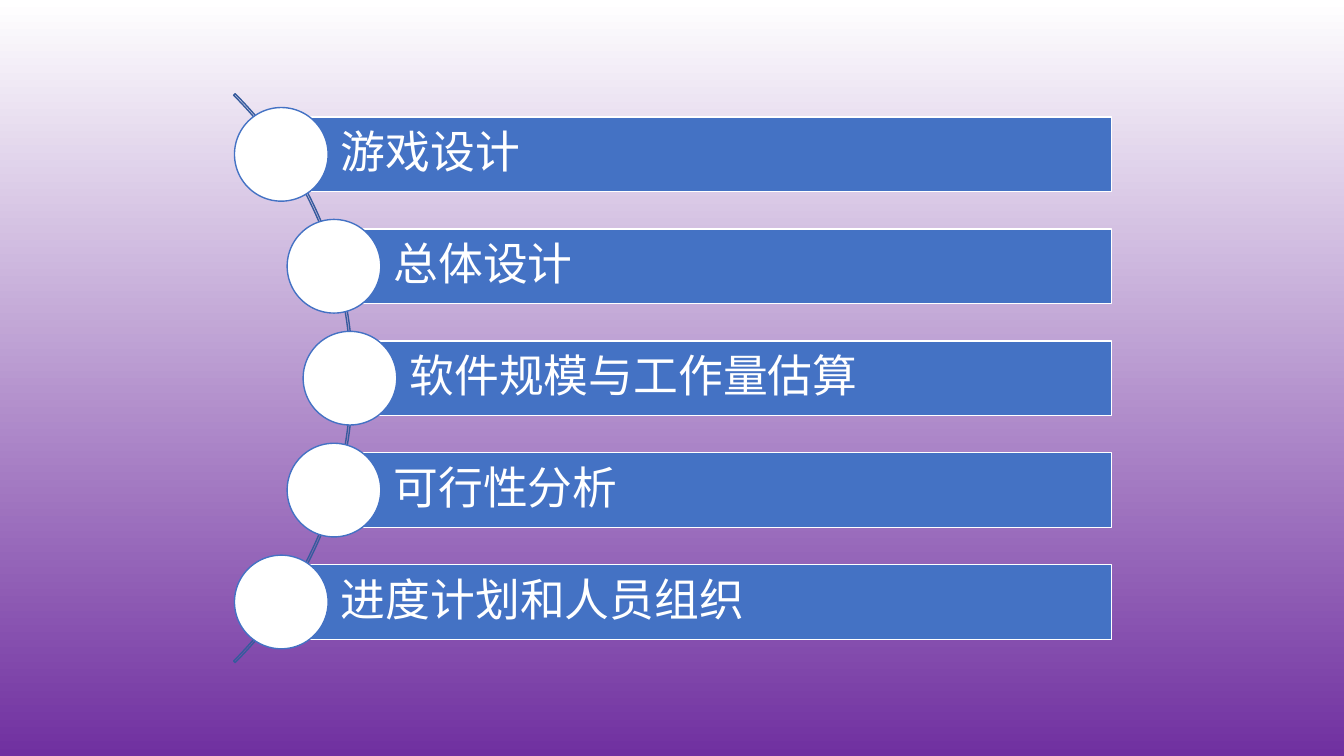
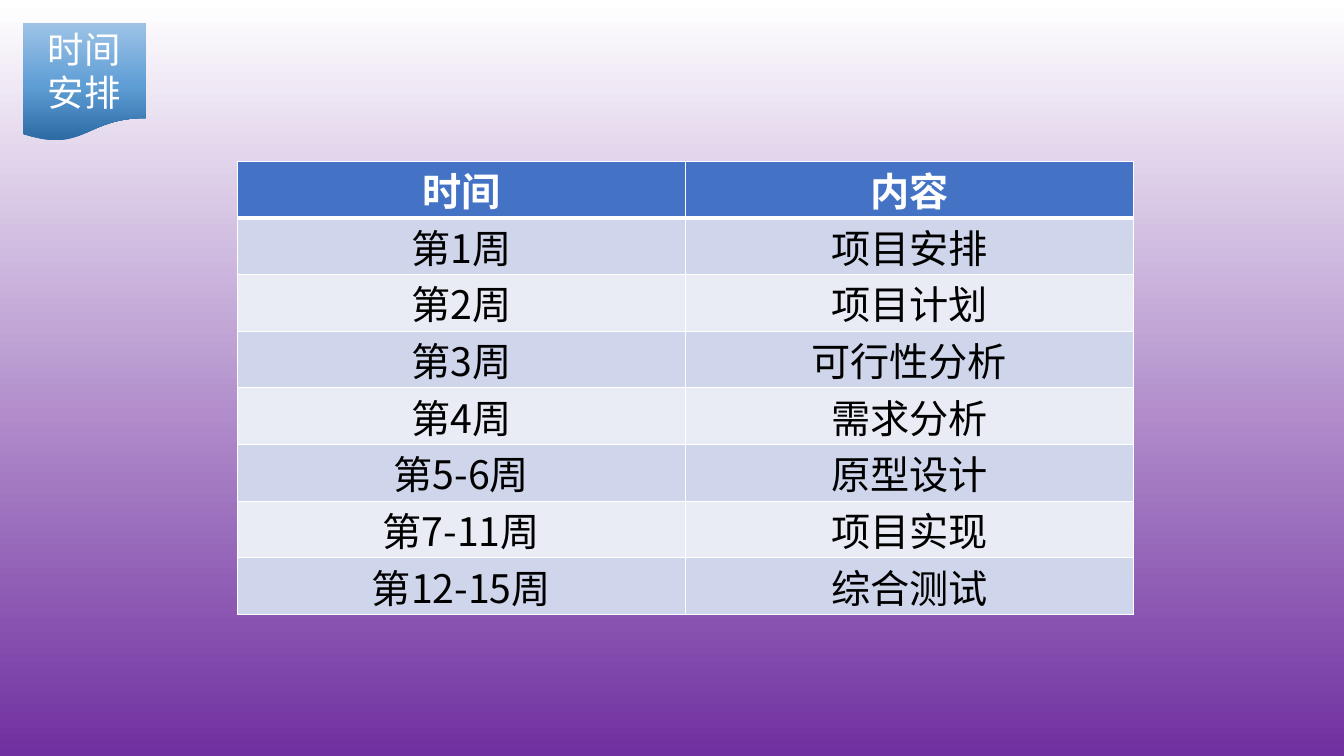
from copy import deepcopy
from math import sqrt

from lxml.etree import SubElement
from pptx import Presentation
from pptx.dml.color import RGBColor
from pptx.enum.shapes import MSO_SHAPE
from pptx.enum.text import MSO_ANCHOR, PP_ALIGN
from pptx.oxml.ns import qn
from pptx.util import Cm, Pt

COLORS = {
    "white": "FFFFFF", "black": "000000", "purple": "7030A0",
    "blue": "4472C4", "arc": "365B9D",
    "band_dark": "CFD5EA", "band_light": "E9EBF5",
    "tag_dark": "2A69A2", "tag_mid": "609ED6", "tag_light": "9DC3E6",
}
RGB = {name: RGBColor.from_string(value) for name, value in COLORS.items()}
FONT = "Noto Sans CJK SC"


def set_gradient(fill, element, stops, angle):
    """Fill with (position, colour) stops; the angle runs counter-clockwise."""
    fill.gradient()
    fill.gradient_angle = angle
    gs_list = element.find(".//" + qn("a:gsLst"))
    while len(gs_list) < len(stops):
        gs_list.append(deepcopy(gs_list[0]))
    for stop, (position, color) in zip(fill.gradient_stops, stops):
        stop.position = position
        stop.color.rgb = RGB[color]


def write(tf, text, color, align, **font_format):
    p = tf.paragraphs[0]
    p.alignment = align
    r = p.add_run()
    r.text = text
    r.font.color.rgb = RGB[color]
    for name, value in {"name": FONT, **font_format}.items():
        setattr(r.font, name, value)
    SubElement(r._r.get_or_add_rPr(), qn("a:ea"), typeface=FONT)
    return p


prs = Presentation()
prs.slide_width, prs.slide_height = Cm(33.87), Cm(19.05)
blank = prs.slide_layouts[6]

# Shared background
master = prs.slide_master
set_gradient(master.background.fill, master._element,
             [(0, "white"), (1, "purple")], 270)

# Slide 1: agenda along an arc
s = prs.slides.add_slide(blank)
topics = ["游戏设计", "总体设计", "软件规模与工作量估算", "可行性分析", "进度计划和人员组织"]
center_x, center_y = -1.24, 9.53
arc_size, path_radius = 20.27, 10.06
step, bar_right, bar_height, circle_size = 2.82, 28.01, 1.88, 2.36

sp = s.shapes.add_shape(MSO_SHAPE.BLOCK_ARC, Cm(center_x - arc_size / 2),
                        Cm(center_y - arc_size / 2), Cm(arc_size), Cm(arc_size))
for i, value in enumerate([189, 27, 0.0027]):
    sp.adjustments[i] = value
sp.shadow.inherit = False
sp.fill.background()
sp.line.color.rgb = RGB["arc"]
sp.line.width = Pt(1)

for i, topic in enumerate(topics):
    dy = (i - 2) * step
    x, y = center_x + sqrt(path_radius ** 2 - dy ** 2), center_y + dy
    parts = [
        (MSO_SHAPE.RECTANGLE, x, bar_right - x, bar_height, "blue", "white", topic),
        (MSO_SHAPE.OVAL, x - circle_size / 2, circle_size, circle_size, "white", "blue", None),
    ]
    for kind, left, width, height, fill, line, text in parts:
        sp = s.shapes.add_shape(kind, Cm(left), Cm(y - height / 2), Cm(width), Cm(height))
        sp.shadow.inherit = False
        sp.fill.solid()
        sp.fill.fore_color.rgb = RGB[fill]
        sp.line.color.rgb = RGB[line]
        sp.line.width = Pt(1)
        if text:
            tf = sp.text_frame
            frame_format = {
                "margin_left": Cm(1.5), "margin_right": Cm(0.23),
                "margin_top": Cm(0.23), "margin_bottom": Cm(0.23),
                "vertical_anchor": MSO_ANCHOR.MIDDLE, "word_wrap": True,
            }
            for name, value in frame_format.items():
                setattr(tf, name, value)
            p = write(tf, text, "white", PP_ALIGN.LEFT, size=Pt(32))
            p.line_spacing = 0.9

# Slide 2: schedule
s = prs.slides.add_slide(blank)

# Corner tag
sp = s.shapes.add_shape(MSO_SHAPE.FLOWCHART_DOCUMENT, Cm(0.57), Cm(0.57), Cm(3.1), Cm(3))
sp.shadow.inherit = False
set_gradient(sp.fill, sp._element,
             [(0, "tag_dark"), (0.48, "tag_mid"), (1, "tag_light")], 90)
sp.line.fill.background()
sp.text_frame.word_wrap = True
sp.text_frame.vertical_anchor = MSO_ANCHOR.MIDDLE
write(sp.text_frame, "时间安排", "white", PP_ALIGN.CENTER, size=Pt(26))

# Timetable
rows = [
    ("时间", "内容"),
    ("第1周", "项目安排"),
    ("第2周", "项目计划"),
    ("第3周", "可行性分析"),
    ("第4周", "需求分析"),
    ("第5-6周", "原型设计"),
    ("第7-11周", "项目实现"),
    ("第12-15周", "综合测试"),
]
row_height, col_width = 1.04, 11.29
table = s.shapes.add_table(len(rows), 2, Cm(5.98), Cm(4.06), Cm(2 * col_width),
                           Cm(len(rows) * row_height)).table
cell_format = {"margin_left": Cm(0.46), "margin_right": Cm(0.46),
               "margin_top": 0, "margin_bottom": 0}
for i, row in enumerate(rows):
    header = i == 0
    fill = "blue" if header else ("band_light", "band_dark")[i % 2]
    for j, text in enumerate(row):
        cell = table.cell(i, j)
        for name, value in cell_format.items():
            setattr(cell, name, value)
        # Borders: the rule under the header is heavier
        tcPr = cell._tc.get_or_add_tcPr()
        heavy = {0: "lnB", 1: "lnT"}.get(i)
        for side in ("lnL", "lnR", "lnT", "lnB"):
            ln = SubElement(tcPr, qn("a:" + side), w=str(Pt(3 if side == heavy else 1)))
            solid = SubElement(ln, qn("a:solidFill"))
            SubElement(solid, qn("a:srgbClr"), val=COLORS["white"])
        cell.fill.solid()
        cell.fill.fore_color.rgb = RGB[fill]
        write(cell.text_frame, text, "white" if header else "black",
              PP_ALIGN.CENTER, size=Pt(28), bold=header)

prs.save("out.pptx")
